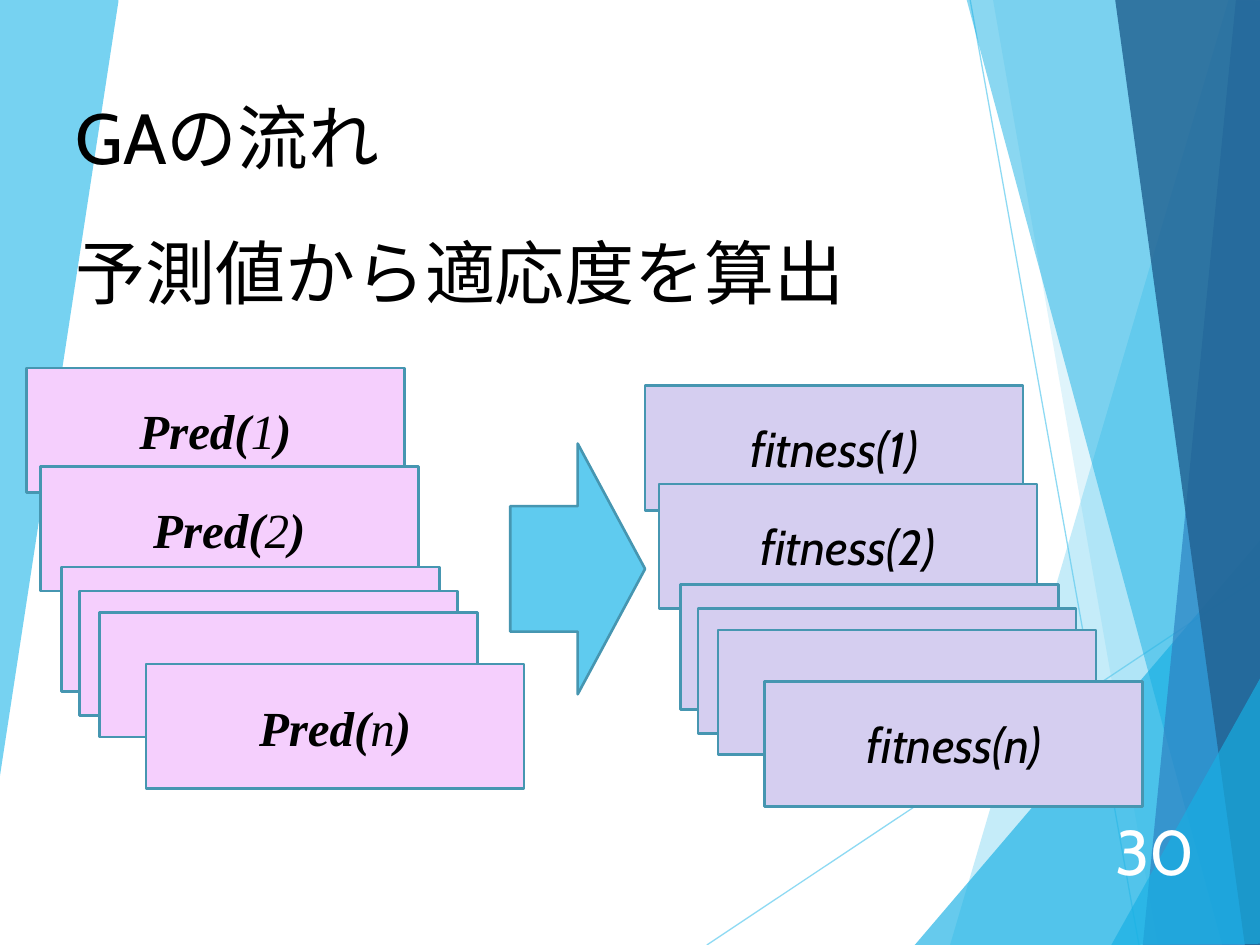
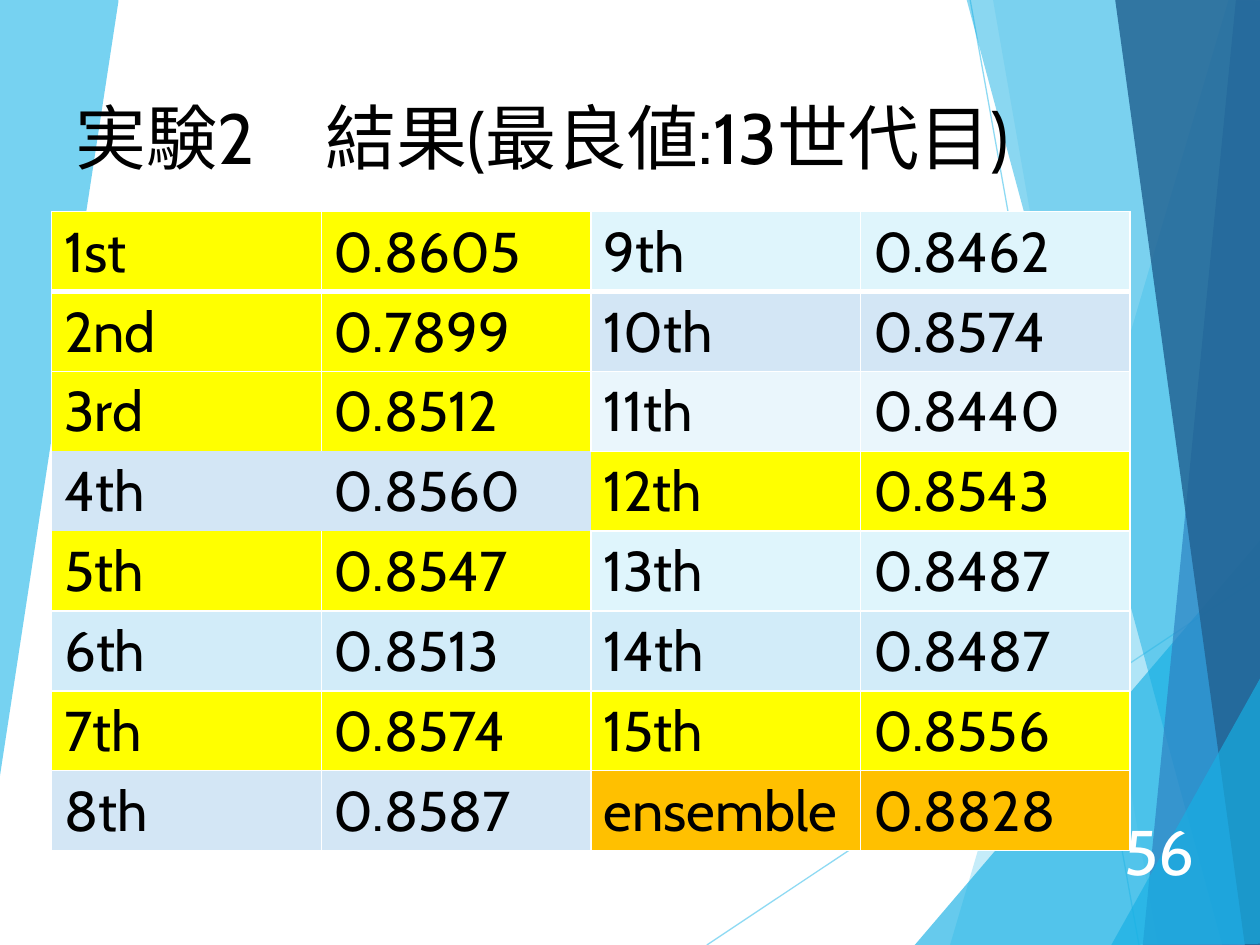
from lxml.etree import SubElement
from pptx import Presentation
from pptx.dml.color import RGBColor
from pptx.enum.shapes import MSO_CONNECTOR, MSO_SHAPE
from pptx.enum.text import MSO_ANCHOR, PP_ALIGN
from pptx.oxml.ns import qn
from pptx.util import Inches, Pt

BLACK, WHITE = "000000", "FFFFFF"
SKY, CYAN, BLUE, NAVY = "5FCBEF", "17B0E4", "2E83C3", "226292"
OUTLINE, PINK, LAVENDER = "4696B1", "F5CFFD", "D5CEF0"
YELLOW, ORANGE = "FFFF00", "FFC000"
PALE_CYAN, PALE_BLUE, PALE_SKY, PALEST = "DFF5FC", "D3E6F5", "D2ECF9", "EAF6FC"

LABEL = {"size": Pt(28), "name": "Cabin", "italic": True}
PRED_LABEL = LABEL | {"name": "Times New Roman"}
TITLE = {"size": Pt(40.5), "name": "Cabin"}
SUBTITLE = TITLE | {"size": Pt(40)}
NUMBER = {"size": Pt(36), "name": "Cabin"}
CELL = {"size": Pt(32), "name": "Cabin"}


def paint(fill, color):
    fill.solid()
    fill.fore_color.rgb = RGBColor.from_string(color)


def write(frame, runs, font_format, color=BLACK, align=PP_ALIGN.LEFT, anchor=MSO_ANCHOR.TOP):
    frame.word_wrap = True
    frame.vertical_anchor = anchor
    paragraph = frame.paragraphs[0]
    paragraph.alignment = align
    for text, bold in runs:
        run = paragraph.add_run()
        run.text = text
        for name, value in (font_format | {"bold": bold}).items():
            setattr(run.font, name, value)
        paint(run.font.fill, color)


presentation = Presentation()
presentation.slide_width = Inches(10)
presentation.slide_height = Inches(7.5)

# Background shared by both slides: thin lines, then translucent facets
background_lines = [(5.61, 7.5, 10.01, 4.57), (7.7, 0, 9.04, 7.5)]
facets = [
    (SKY, 36, [(9.75, 0), (7.54, 7.5), (10.02, 7.51), (10.01, 0.01)]),
    (SKY, 20, [(7.88, -0.01), (9.19, 7.5), (10.01, 7.5), (10.01, -0.01)]),
    (CYAN, 66, [(7.26, 7.5), (10, 4.29), (10.01, 7.5)]),
    (CYAN, 50, [(7.67, -0.01), (9.7, 7.5), (10.01, 7.49), (10.01, -0.01)]),
    (BLUE, 70, [(9.81, -0.01), (9.07, 7.5), (10.01, 7.5), (10, -0.01)]),
    (NAVY, 82, [(8.85, -0.01), (9.88, 7.5), (10.02, 7.5), (10, -0.01)]),
    (CYAN, 66, [(8.82, 7.5), (10.02, 5.35), (10.02, 7.49)]),
    (SKY, 85, [(-0.01, 0), (0.94, -0.01), (0.94, 0.01), (-0.01, 6.22)]),
]
pages = [
    ("30", [("GAの流れ", 0.69, 3.81, TITLE), ("予測値から適応度を算出", 1.77, 7.71, SUBTITLE)]),
    ("56", [("実験2　結果(最良値:13世代目)", 0.69, 9.57, TITLE)]),
]
slides = []
for page_number, titles in pages:
    slide = presentation.slides.add_slide(presentation.slide_layouts[6])
    slides.append(slide)
    translucent = []
    for ends in background_lines:
        line = slide.shapes.add_connector(MSO_CONNECTOR.STRAIGHT, *map(Inches, ends))
        line.line.width = Pt(0.75)
        paint(line.line.fill, SKY)
        SubElement(line._element.spPr, qn("a:effectLst"))
        translucent.append((line, 70))
    for color, opacity, points in facets:
        corners = [(Inches(x), Inches(y)) for x, y in points]
        builder = slide.shapes.build_freeform(*corners[0])
        builder.add_line_segments(corners[1:], close=True)
        facet = builder.convert_to_shape()
        facet.shadow.inherit = False
        facet.line.fill.background()
        paint(facet.fill, color)
        translucent.append((facet, opacity))
    for shape, opacity in translucent:
        for color_element in list(shape._element.spPr.iter(qn("a:srgbClr"))):
            SubElement(color_element, qn("a:alpha"), val=str(opacity * 1000))

    # Page number and titles
    box = slide.shapes.add_textbox(Inches(8.74), Inches(6.48), Inches(0.84), Inches(0.53))
    write(box.text_frame, [(page_number, False)], NUMBER, WHITE, PP_ALIGN.RIGHT, MSO_ANCHOR.MIDDLE)
    for text, top, width, font_format in titles:
        box = slide.shapes.add_textbox(Inches(0.5), Inches(top), Inches(width), Inches(0.78))
        write(box.text_frame, [(text, False)], font_format)

flow_slide, result_slide = slides

# Flow slide: stacks of predictions and fitness values with an arrow between
card_offsets = [(0, 0), (0.11, 0.78), (0.28, 1.58), (0.42, 1.77), (0.58, 1.94), (0.95, 2.35)]
card_indexes = ["1", "2", "", "", "", "n"]
cards = []
for name, left, top, color, font_format, bold in [
    ("Pred", 0.21, 2.92, PINK, PRED_LABEL, True),
    ("fitness", 5.12, 3.06, LAVENDER, LABEL, False),
]:
    for (right, down), index in zip(card_offsets, card_indexes):
        runs = [(f"{name}(", bold), (index, False), (")", bold)] if index else []
        place = (left + right, top + down, 3, 0.99)
        cards.append((MSO_SHAPE.RECTANGLE, place, color, runs, font_format))
arrow = (MSO_SHAPE.RIGHT_ARROW, (4.05, 3.52, 1.07, 1.99), SKY, [], LABEL)
cards.insert(len(card_offsets), arrow)

for kind, place, color, runs, font_format in cards:
    shape = flow_slide.shapes.add_shape(kind, *map(Inches, place))
    shape.shadow.inherit = False
    paint(shape.fill, color)
    paint(shape.line.fill, OUTLINE)
    shape.line.width = Pt(1.5)
    write(shape.text_frame, runs, font_format, align=PP_ALIGN.CENTER, anchor=MSO_ANCHOR.MIDDLE)

# Result slide: each row holds two name and value pairs, each pair with its fill
results = [
    ("1st", "0.8605", YELLOW, "9th", "0.8462", PALE_CYAN),
    ("2nd", "0.7899", YELLOW, "10th", "0.8574", PALE_BLUE),
    ("3rd", "0.8512", YELLOW, "11th", "0.8440", PALEST),
    ("4th", "0.8560", PALE_BLUE, "12th", "0.8543", YELLOW),
    ("5th", "0.8547", YELLOW, "13th", "0.8487", PALE_CYAN),
    ("6th", "0.8513", PALE_SKY, "14th", "0.8487", PALE_SKY),
    ("7th", "0.8574", YELLOW, "15th", "0.8556", YELLOW),
    ("8th", "0.8587", PALE_BLUE, "ensemble", "0.8828", ORANGE),
]
table_place = map(Inches, (0.41, 1.68, 8.56, 5.07))
table = result_slide.shapes.add_table(len(results), 4, *table_place).table
table.first_row = False
table.horz_banding = False
for row, (name, value, color, next_name, next_value, next_color) in enumerate(results):
    texts = [name, value, next_name, next_value]
    colors = [color, color, next_color, next_color]
    for column, (text, cell_color) in enumerate(zip(texts, colors)):
        cell = table.cell(row, column)
        # The 4th row's left pair is borderless, and the first row has a thick rule below
        widths = dict.fromkeys(("lnL", "lnR", "lnT", "lnB"), 1)
        if column < 2 and row == 3:
            widths = dict.fromkeys(widths, 0)
        elif column < 2 and row in (2, 4):
            widths["lnB" if row == 2 else "lnT"] = 0
        elif column == 2 and row == 3:
            widths["lnL"] = 0
        if row < 2:
            widths["lnB" if row == 0 else "lnT"] = 3
        for side, width in widths.items():
            border = SubElement(cell._tc.get_or_add_tcPr(), qn(f"a:{side}"), w=str(Pt(width)))
            if width:
                border_fill = SubElement(border, qn("a:solidFill"))
                SubElement(border_fill, qn("a:srgbClr"), val=WHITE)
            else:
                SubElement(border, qn("a:noFill"))
        paint(cell.fill, cell_color)
        write(cell.text_frame, [(text, False)], CELL)

presentation.save("out.pptx")
